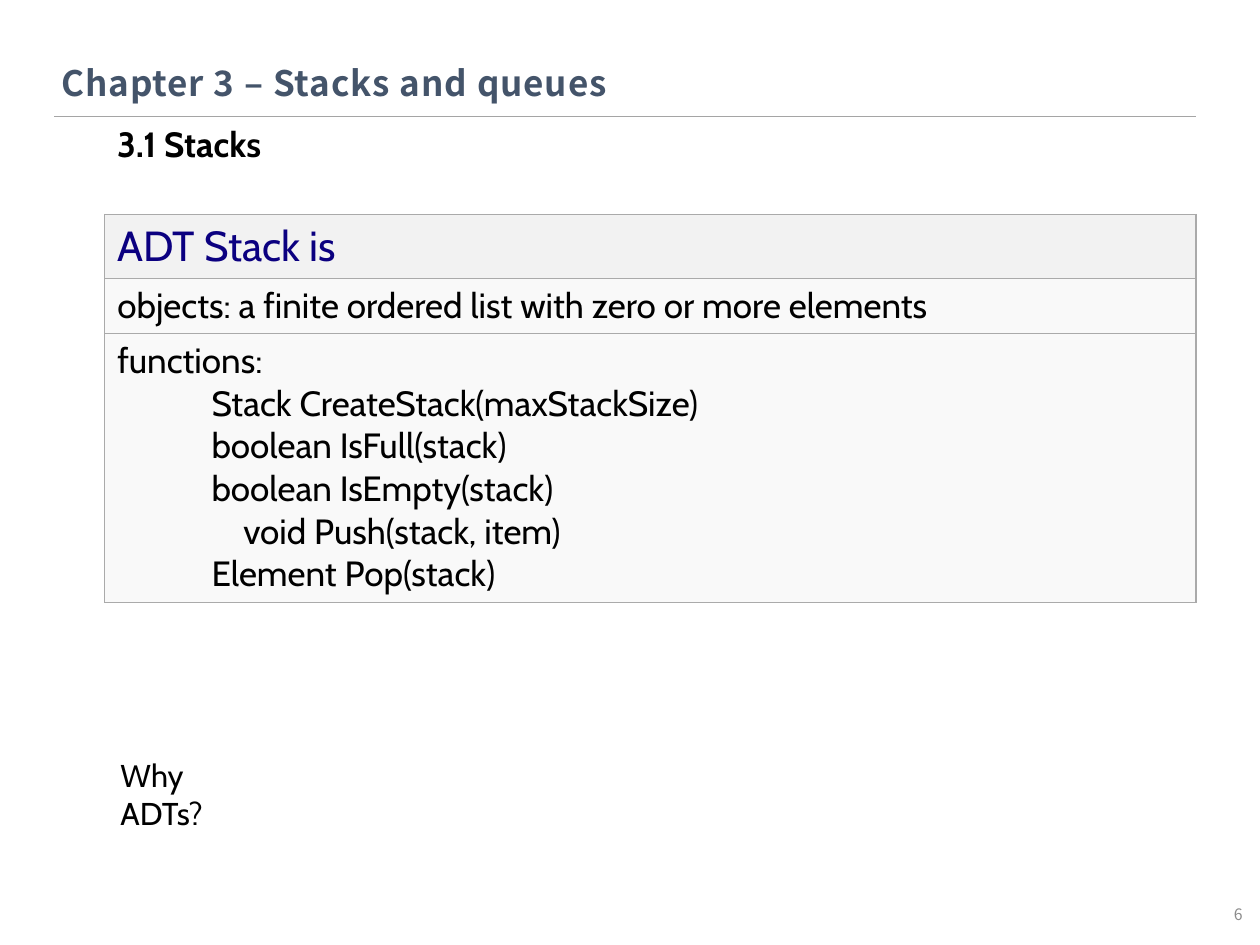
from lxml import etree
from pptx import Presentation
from pptx.dml.color import RGBColor
from pptx.enum.shapes import MSO_CONNECTOR
from pptx.enum.text import MSO_ANCHOR, PP_ALIGN
from pptx.oxml.ns import qn
from pptx.util import Cm, Pt

STRAIGHT = MSO_CONNECTOR.STRAIGHT
MIDDLE, TOP = MSO_ANCHOR.MIDDLE, MSO_ANCHOR.TOP
LEFT, RIGHT = PP_ALIGN.LEFT, PP_ALIGN.RIGHT
BODY_FONT, TITLE_FONT = "Cabin", "Noto Sans CJK KR"
COLORS = {
    "title": "44546A",
    "rule": "A5A5A5",
    "number": "8C8C8C",
    "text": "000000",
    "heading": "0B0080",
    "heading_fill": "F2F2F2",
    "body_fill": "F9F9F9",
    "border": "AAAAAA",
}
TAB, DEEP_TAB = Cm(1.9), Cm(2.54)
FUNCTIONS = [
    ("functions:", None),
    ("\tStack CreateStack(maxStackSize)", TAB),
    ("\tboolean IsFull(stack)", TAB),
    ("\tboolean IsEmpty(stack)", TAB),
    ("\tvoid Push(stack, item)", DEEP_TAB),
    ("\tElement Pop(stack)", TAB),
]
ROWS = [
    ([("ADT Stack is", None)], 1.29, 24, "heading", "heading_fill"),
    ([("objects: a finite ordered list with zero or more elements", None)],
     1.11, 20, "text", "body_fill"),
    (FUNCTIONS, 5.42, 20, "text", "body_fill"),
]


def rgb(name):
    """Return the named colour."""
    return RGBColor.from_string(COLORS[name])


def style(paragraph, size, color, font=BODY_FONT, bold=False):
    """Set the font of a whole paragraph."""
    paragraph.font.name = font
    paragraph.font.size = Pt(size)
    paragraph.font.bold = bold
    paragraph.font.color.rgb = rgb(color)


def add_text(slide, text, box, size, color="text", font=BODY_FONT, bold=False,
             align=LEFT, anchor=TOP):
    """Add a one-paragraph text box and return its paragraph."""
    frame = slide.shapes.add_textbox(*map(Cm, box)).text_frame
    frame.word_wrap = True
    frame.vertical_anchor = anchor
    paragraph = frame.paragraphs[0]
    paragraph.text = text
    paragraph.alignment = align
    style(paragraph, size, color, font, bold)
    return paragraph


def add_rule(slide, left, right, top):
    """Add the thin horizontal line under the title."""
    rule = slide.shapes.add_connector(STRAIGHT, Cm(left), Cm(top), Cm(right), Cm(top))
    rule.line.color.rgb = rgb("rule")
    rule.line.width = Pt(0.5)
    etree.SubElement(rule._element.spPr, qn("a:effectLst"))


def set_tab(paragraph, position):
    """Give a paragraph one left tab stop."""
    tabs = etree.SubElement(paragraph._p.get_or_add_pPr(), qn("a:tabLst"))
    etree.SubElement(tabs, qn("a:tab"), pos=str(int(position)), algn="l")


def set_borders(cell):
    """Draw a thin border on all four sides of a cell."""
    properties = cell._tc.get_or_add_tcPr()
    for index, side in enumerate(("lnL", "lnR", "lnT", "lnB")):
        line = etree.Element(qn(f"a:{side}"), w=str(int(Pt(0.75))))
        fill = etree.SubElement(line, qn("a:solidFill"))
        etree.SubElement(fill, qn("a:srgbClr"), val=COLORS["border"])
        properties.insert(index, line)


def fill_cell(cell, lines, size, color, fill):
    """Write the lines into a cell and style it."""
    cell.fill.solid()
    cell.fill.fore_color.rgb = rgb(fill)
    cell.vertical_anchor = MIDDLE
    set_borders(cell)
    frame = cell.text_frame
    frame.text = "\n".join(text for text, _ in lines)
    for paragraph, (_, tab) in zip(frame.paragraphs, lines):
        if tab:
            set_tab(paragraph, tab)
        style(paragraph, size, color)


def add_adt_table(slide, left, top, width):
    """Add the table that defines the stack type."""
    height = sum(row[1] for row in ROWS)
    table = slide.shapes.add_table(
        len(ROWS), 1, Cm(left), Cm(top), Cm(width), Cm(height)).table
    for index, (lines, row_height, size, color, fill) in enumerate(ROWS):
        table.rows[index].height = Cm(row_height)
        fill_cell(table.cell(index, 0), lines, size, color, fill)


def main():
    """Build and save the slide."""
    presentation = Presentation()
    presentation.slide_width, presentation.slide_height = Cm(25.4), Cm(19.05)
    slide = presentation.slides.add_slide(presentation.slide_layouts[6])
    add_text(slide, "6", (23.06, 17.93, 2.24, 1.02), 9, "number", TITLE_FONT,
             align=RIGHT, anchor=MIDDLE)
    add_rule(slide, 1.09, 24.1, 2.34)
    add_adt_table(slide, 2.11, 4.32, 22)
    add_text(slide, "Why ADTs?", (2.18, 15.11, 3.45, 1.02), 18)
    title = add_text(slide, "Chapter 3 – Stacks and queues", (0.99, 1.12, 24.31, 1.68),
                     20, "title", TITLE_FONT, bold=True)
    title.runs[0]._r.get_or_add_rPr().set("spc", "50")
    add_text(slide, "3.1 Stacks", (2.11, 2.34, 21.79, 1.12), 20, bold=True)
    presentation.save("out.pptx")


if __name__ == "__main__":
    main()
